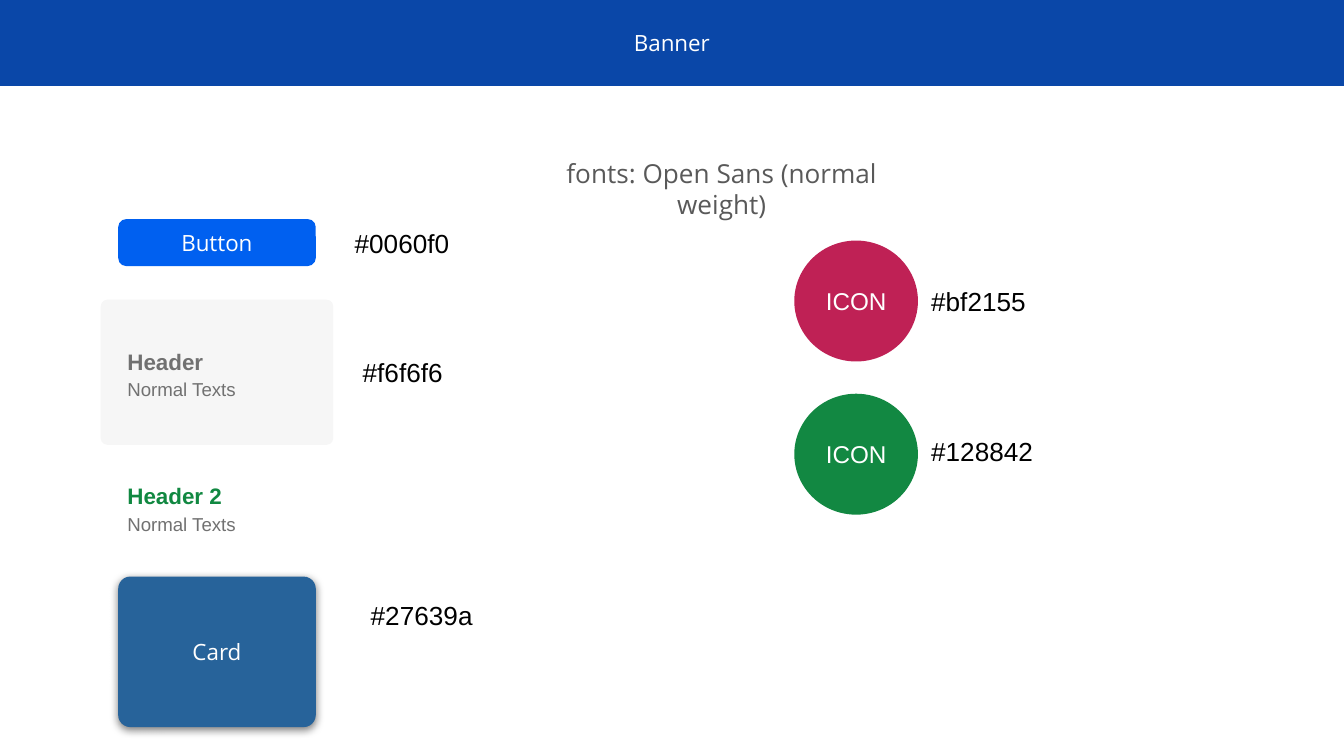
from lxml import etree
from pptx import Presentation
from pptx.dml.color import RGBColor
from pptx.enum.shapes import MSO_SHAPE
from pptx.enum.text import MSO_ANCHOR, MSO_AUTO_SIZE, PP_ALIGN
from pptx.oxml.ns import qn
from pptx.util import Inches, Pt

ROUNDED, OVAL = MSO_SHAPE.ROUNDED_RECTANGLE, MSO_SHAPE.OVAL
TOP, MIDDLE = MSO_ANCHOR.TOP, MSO_ANCHOR.MIDDLE
LEFT, CENTER = PP_ALIGN.LEFT, PP_ALIGN.CENTER
GROW, FIXED = MSO_AUTO_SIZE.SHAPE_TO_FIT_TEXT, MSO_AUTO_SIZE.NONE
TITLE_ONLY = 5

COLORS = {
    "banner": "0A47A8", "button": "0060F0", "panel": "F6F6F6",
    "crimson": "BF2155", "green": "128842", "card": "27639A",
    "white": "FFFFFF", "black": "000000", "gray": "717171",
    "heading": "118841", "note": "595959",
}
SANS, WEB = "Arial", "Open Sans"


def color(name):
    """Return the palette colour with the given name."""
    return RGBColor.from_string(COLORS[name])


def set_frame(frame, anchor, auto_size=FIXED, inset=0.1):
    """Apply wrapping, anchor, sizing and equal margins to a text frame."""
    values = {"word_wrap": True, "auto_size": auto_size, "vertical_anchor": anchor}
    for side in ("left", "top", "right", "bottom"):
        values[f"margin_{side}"] = Inches(inset)
    for key, value in values.items():
        setattr(frame, key, value)


def write(paragraph, text, size, font, tint, bold=False, align=LEFT, spacing=1.0):
    """Fill a paragraph with one formatted run."""
    paragraph.alignment = align
    paragraph.line_spacing = spacing
    run = paragraph.add_run()
    run.text = text
    for key, value in {"size": Pt(size), "name": font, "bold": bold}.items():
        setattr(run.font, key, value)
    run.font.color.rgb = color(tint)


def add_sample(slide, box, fill, label="", size=12, font=WEB, kind=ROUNDED, radius=0):
    """Draw a filled component sample with a centred label."""
    sample = slide.shapes.add_shape(kind, *map(Inches, box))
    sample.shadow.inherit = False
    sample.fill.solid()
    sample.fill.fore_color.rgb = color(fill)
    sample.line.fill.background()
    if kind == ROUNDED:
        sample.adjustments[0] = radius / min(box[2:])
    if label:
        set_frame(sample.text_frame, MIDDLE)
        write(sample.text_frame.paragraphs[0], label, size, font, "white", align=CENTER)
    return sample


def add_drop_shadow(sample):
    """Give a sample a soft shadow straight below it."""
    effects = sample._element.spPr.find(qn("a:effectLst"))
    shadow = etree.SubElement(effects, qn("a:outerShdw"), blurRad=str(Pt(4.5)),
                              dist=str(Pt(1.5)), dir="5400000", algn="bl",
                              rotWithShape="0")
    tint = etree.SubElement(shadow, qn("a:srgbClr"), val=COLORS["black"])
    etree.SubElement(tint, qn("a:alpha"), val="50000")


def add_text_box(slide, box):
    """Add an empty text box that grows with its text."""
    frame = slide.shapes.add_textbox(*map(Inches, box)).text_frame
    set_frame(frame, TOP, GROW)
    return frame


def add_code(slide, left, top, code):
    """Write the hex code that belongs to a sample."""
    frame = add_text_box(slide, (left, top, 1.12, 0.44))
    write(frame.paragraphs[0], code, 14, SANS, "black")


def add_heading_sample(slide, left, top, heading, tint):
    """Show a bold heading above normal text."""
    frame = add_text_box(slide, (left, top, 1.54, 0.6))
    write(frame.paragraphs[0], heading, 12, SANS, tint, bold=True, spacing=1.15)
    write(frame.add_paragraph(), "Normal Texts", 10, SANS, "gray", spacing=1.15)


def add_font_note(slide, box):
    """Place the font note in the title placeholder."""
    note = slide.shapes.title
    for key, value in zip(("left", "top", "width", "height"), box):
        setattr(note, key, Inches(value))
    set_frame(note.text_frame, TOP, inset=0.05)
    write(note.text_frame.paragraphs[0], "fonts: Open Sans (normal weight)",
          14, WEB, "note", align=CENTER)


def add_components(slide, left, top):
    """Stack the button, panel, headings and card with their codes."""
    inner = left + 0.13
    add_sample(slide, (inner, top, 1.47, 0.35), "button", "Button", radius=0.06)
    add_sample(slide, (left, top + 0.6, 1.73, 1.08), "panel", radius=0.05)
    for row, (heading, tint) in enumerate((("Header", "gray"), ("Header 2", "heading"))):
        add_heading_sample(slide, left + 0.1, top + 0.83 + row, heading, tint)
    card = add_sample(slide, (inner, top + 2.66, 1.47, 1.12), "card", "Card", radius=0.09)
    add_drop_shadow(card)
    for x, y, code in ((1.79, -0.04, "#0060f0"), (1.85, 0.92, "#f6f6f6"),
                       (1.91, 2.73, "#27639a")):
        add_code(slide, left + x, top + y, code)


def add_icons(slide, left, top):
    """Stack the round icons with their codes."""
    icons = (("crimson", "#bf2155", 0.23), ("green", "#128842", 0.21))
    for row, (fill, code, drop) in enumerate(icons):
        y = top + row * 1.14
        add_sample(slide, (left, y, 0.92, 0.9), fill, "ICON", 13, SANS, OVAL)
        add_code(slide, left + 0.92, y + drop, code)


def main():
    """Build the style guide slide."""
    deck = Presentation()
    deck.slide_width = Inches(10)
    deck.slide_height = deck.slide_width * 9 // 16
    slide = deck.slides.add_slide(deck.slide_layouts[TITLE_ONLY])
    add_sample(slide, (0, 0, 10, 0.64), "banner", "Banner")
    add_components(slide, 0.75, 1.63)
    add_icons(slide, 5.91, 1.79)
    add_font_note(slide, (3.97, 1.12, 2.8, 0.18))
    deck.save("out.pptx")


if __name__ == "__main__":
    main()
